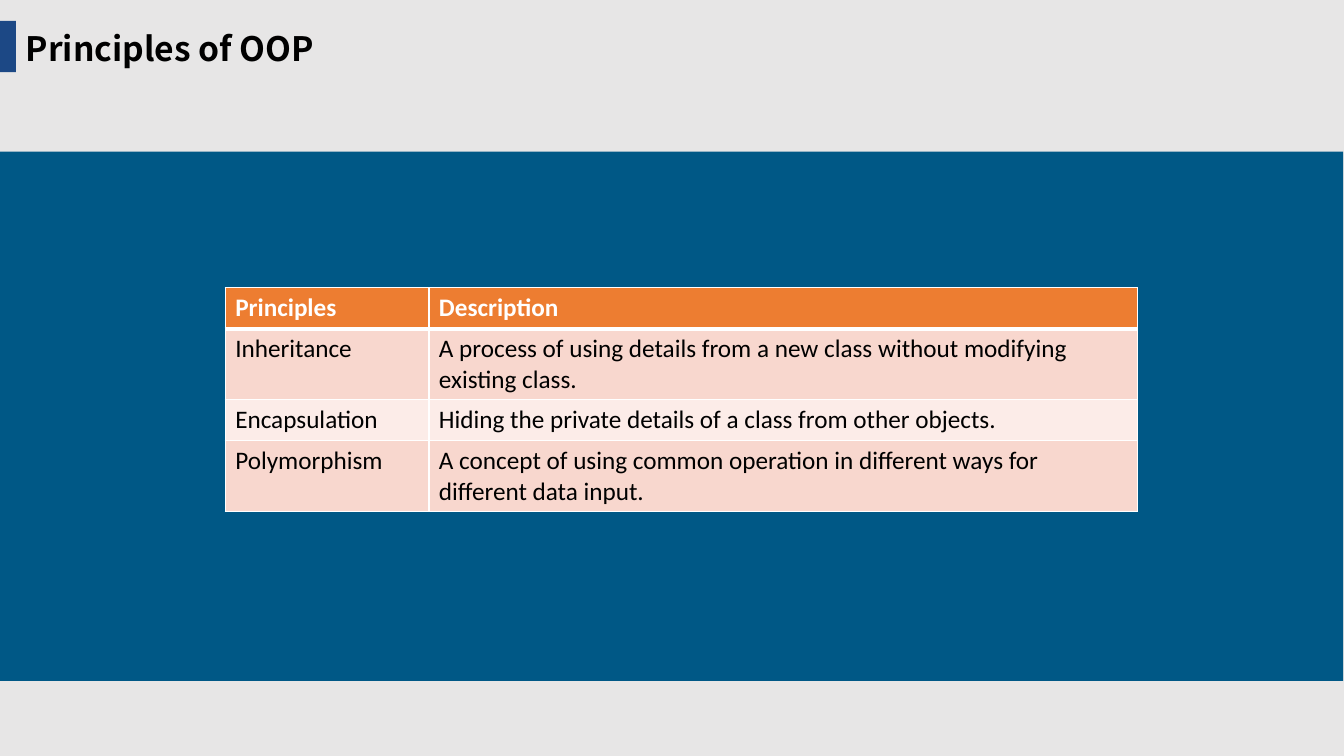
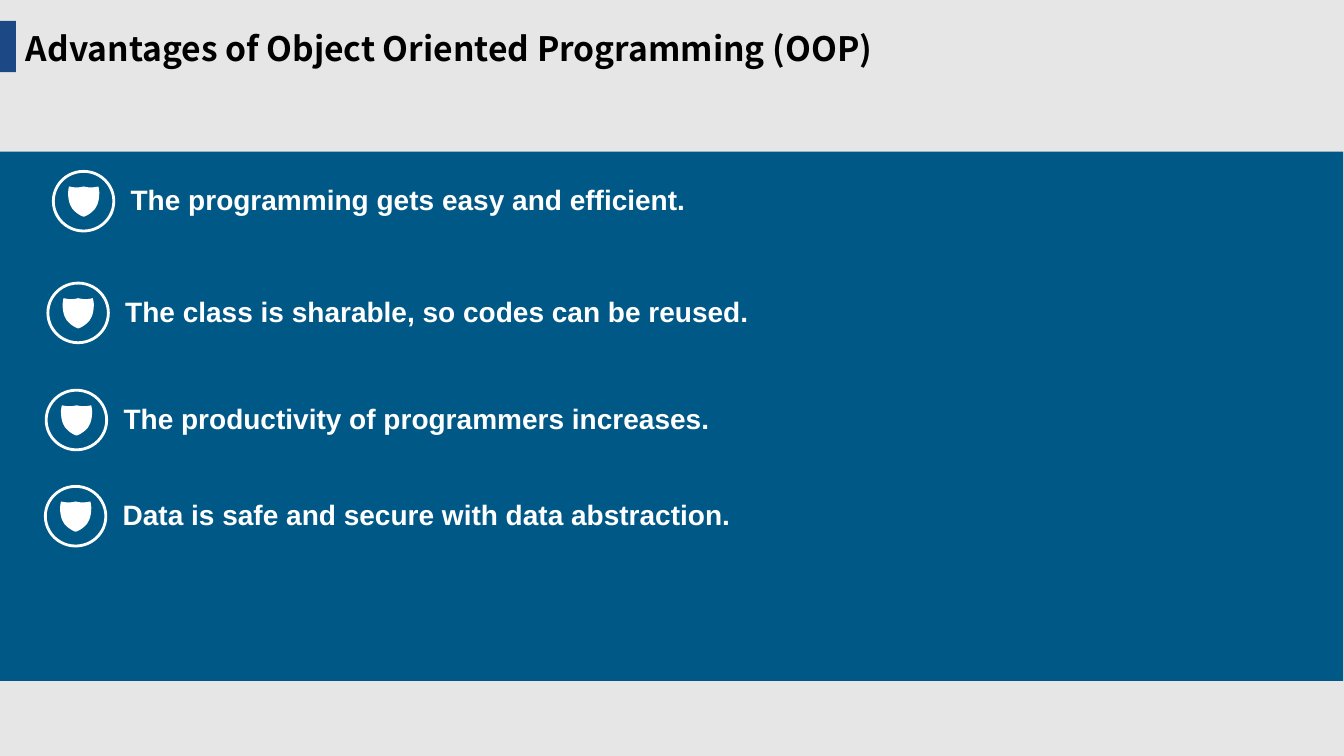
from dataclasses import dataclass

from lxml.etree import SubElement
from pptx import Presentation
from pptx.dml.color import RGBColor
from pptx.enum.shapes import MSO_SHAPE
from pptx.enum.text import MSO_ANCHOR, MSO_AUTO_SIZE
from pptx.oxml.ns import qn
from pptx.util import Inches, Pt


@dataclass(frozen=True)
class Theme:
    page: RGBColor = RGBColor.from_string("E7E6E6")
    band: RGBColor = RGBColor.from_string("005886")
    marker: RGBColor = RGBColor.from_string("1C4885")
    header: RGBColor = RGBColor.from_string("ED7D31")
    odd_row: RGBColor = RGBColor.from_string("F8D7CE")
    even_row: RGBColor = RGBColor.from_string("FCECE8")
    light: RGBColor = RGBColor.from_string("FFFFFF")
    dark: RGBColor = RGBColor.from_string("000000")
    title_font: str = "Noto Sans CJK SC"
    table_font: str = "Calibri"
    list_font: str = "Arial"
    title_size: int = 24
    table_size: int = 18
    list_size: int = 20


theme = Theme()
prs = Presentation()
prs.slide_width, prs.slide_height = Inches(13.33), Inches(7.5)
unit = prs.slide_height / 18


def grid(*cells):
    return [round(n * unit) for n in cells]


def write(tf, text, *, font, size, color, bold=False):
    p = tf.paragraphs[0]
    r = p.add_run()
    r.text = text
    r.font.name = font
    r.font.size = Pt(size)
    r.font.color.rgb = color
    r.font.bold = bold


prs.slide_master.background.fill.solid()
prs.slide_master.background.fill.fore_color.rgb = theme.page

titles = [
    ("Principles of OOP", 7.6),
    ("Advantages of Object Oriented Programming (OOP)", 21.7),
]
bands = [
    ((-0.02, 3.61, 31.99, 12.6), theme.band),
    ((0, 0.5, 0.38, 1.22), theme.marker),
]
for title, width in titles:
    s = prs.slides.add_slide(prs.slide_layouts[6])
    for place, color in bands:
        sp = s.shapes.add_shape(MSO_SHAPE.RECTANGLE, *grid(*place))
        sp.shadow.inherit = False
        sp.fill.solid()
        sp.fill.fore_color.rgb = color
        sp.line.fill.background()
    tf = s.shapes.add_textbox(*grid(0.38, 0.55, width, 1.22)).text_frame
    tf.word_wrap = False
    tf.auto_size = MSO_AUTO_SIZE.SHAPE_TO_FIT_TEXT
    write(tf, title, font=theme.title_font, size=theme.title_size,
          color=theme.dark, bold=True)

principles, advantages = prs.slides

rows = [
    ("Principles", "Description"),
    ("Inheritance", "A process of using details from a new class without modifying existing class."),
    ("Encapsulation", "Hiding the private details of a class from other objects."),
    ("Polymorphism", "A concept of using common operation in different ways for different data input."),
]
col_widths = grid(4.85, 16.87)
row_heights = grid(0.98, 1.68, 0.98, 1.68)
row_fills = [theme.header, theme.odd_row, theme.even_row, theme.odd_row]
table = principles.shapes.add_table(
    len(rows), len(col_widths), *grid(5.36, 6.85), sum(col_widths), sum(row_heights)
).table
table.horz_banding = False
for column, width in zip(table.columns, col_widths):
    column.width = width
for i, (texts, height, fill) in enumerate(zip(rows, row_heights, row_fills)):
    table.rows[i].height = height
    for j, text in enumerate(texts):
        cell = table.cell(i, j)
        tc_pr = cell._tc.get_or_add_tcPr()
        for side in "LRTB":
            heavy = (i, side) in [(0, "B"), (1, "T")]
            ln = SubElement(tc_pr, qn(f"a:ln{side}"), w=str(Pt(3 if heavy else 1)))
            ln_fill = SubElement(ln, qn("a:solidFill"))
            SubElement(ln_fill, qn("a:srgbClr"), val=str(theme.light))
        cell.fill.solid()
        cell.fill.fore_color.rgb = fill
        write(cell.text_frame, text, font=theme.table_font, size=theme.table_size,
              color=theme.light if i == 0 else theme.dark, bold=i == 0)

half_shield = [
    (15.5, 0), (15.5, 0), (12, 1), (8.5, 1), (5, 1), (1, 0), (1, 0),
    (1, 0), (0, 3), (0, 6), (0, 16), (3, 22), (7, 25),
    (9, 27), (14, 30), (15.5, 30),
]
mirrored = [(31 - x, y) for x, y in half_shield[-2::-1]]
shield = [grid(0.024 * x, 0.024 * y) for x, y in half_shield + mirrored]
corners = shield[::3]

items = [
    ("The programming gets easy and efficient.", 1.27, 4.08, 26.1),
    ("The class is sharable, so codes can be reused.", 1.14, 6.74, 27),
    ("The productivity of programmers increases.", 1.1, 9.29, 27),
    ("Data is safe and secure with data abstraction.", 1.08, 11.58, 27),
]
for text, left, top, width in items:
    builder = advantages.shapes.build_freeform(*corners[0])
    builder.add_line_segments(corners[1:], close=True)
    icon = builder.convert_to_shape(*grid(left + 0.35, top + 0.36))
    for k, segment in enumerate(list(icon._element.iter(qn("a:lnTo")))):
        segment.clear()
        segment.tag = qn("a:cubicBezTo")
        for x, y in shield[3 * k + 1:3 * k + 4]:
            SubElement(segment, qn("a:pt"), x=str(x), y=str(y))
    icon.shadow.inherit = False
    icon.fill.solid()
    icon.fill.fore_color.rgb = theme.light
    icon.line.fill.background()

    ring = advantages.shapes.add_shape(MSO_SHAPE.OVAL, *grid(left, top, 1.44, 1.42))
    ring.shadow.inherit = False
    ring.fill.background()
    ring.line.color.rgb = theme.light
    ring.line.width = Pt(2)

    tf = advantages.shapes.add_textbox(*grid(left + 1.84, top + 0.26, width, 0.82)).text_frame
    tf.word_wrap = True
    tf.auto_size = MSO_AUTO_SIZE.SHAPE_TO_FIT_TEXT
    tf.vertical_anchor = MSO_ANCHOR.MIDDLE
    tf.margin_left = tf.margin_right = tf.margin_top = tf.margin_bottom = 0
    write(tf, text, font=theme.list_font, size=theme.list_size,
          color=theme.light, bold=True)

prs.save("out.pptx")
